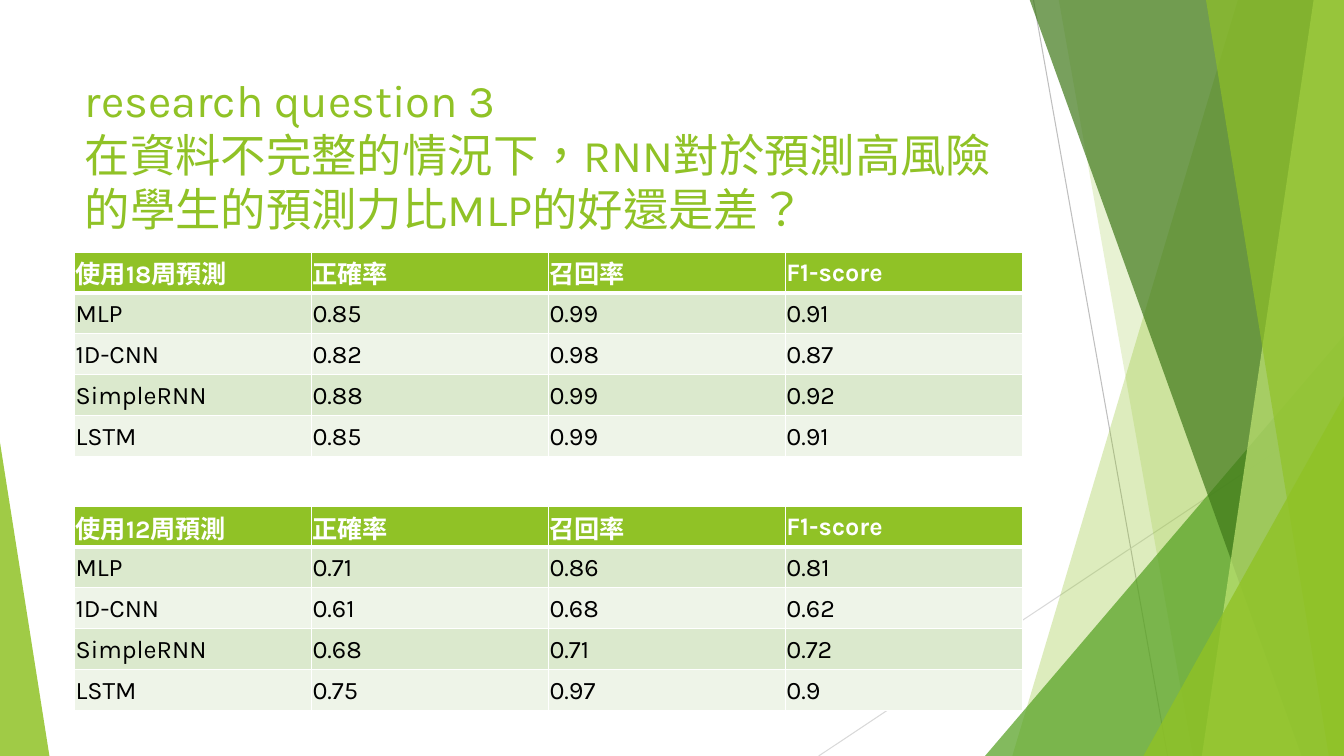
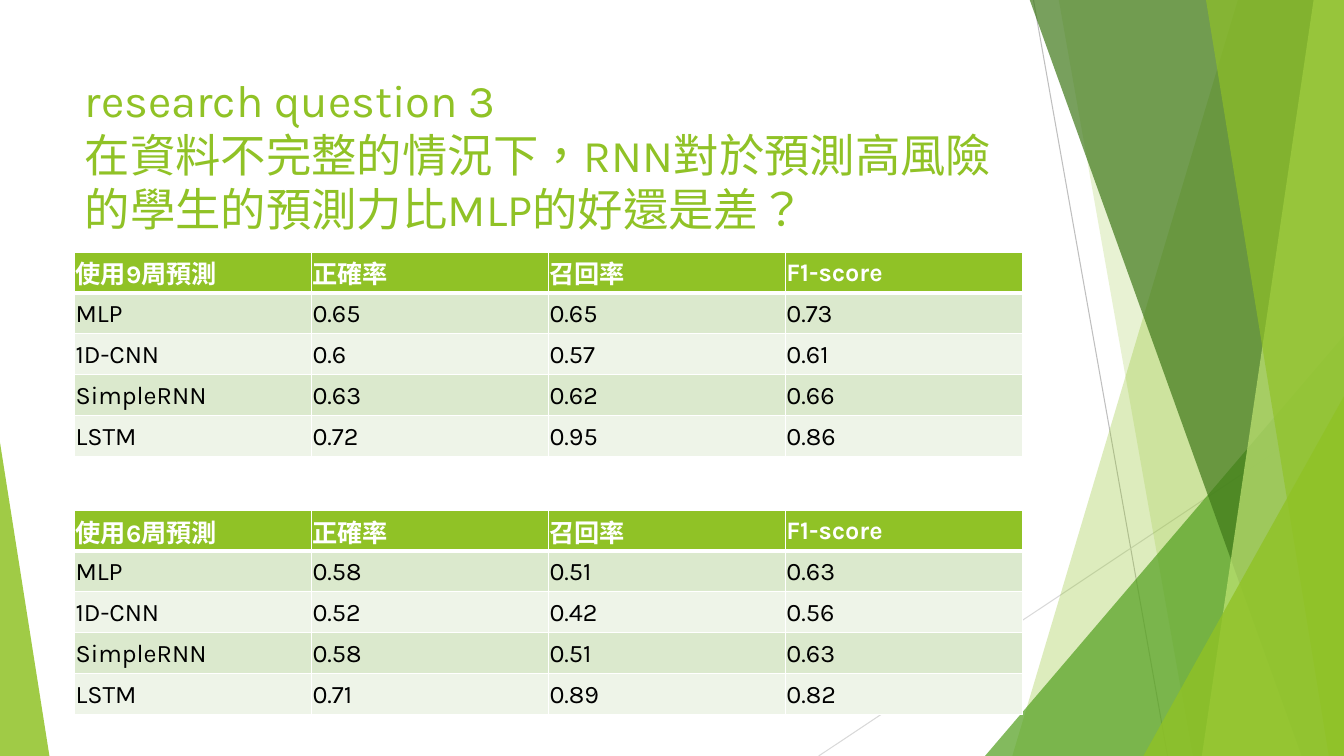
from lxml import etree
from pptx import Presentation
from pptx import util as u
from pptx.dml.color import RGBColor
from pptx.enum import lang, shapes, text
from pptx.oxml.ns import qn

PX = 9144
WIDE, HIGH = 1333, 750
LEFT, SPAN = 74, 940
FONT = "Karla"

LIME = RGBColor(0x90, 0xC2, 0x26)
GREEN = RGBColor(0x54, 0xA0, 0x21)
DARK = RGBColor(0x3F, 0x78, 0x19)
PALE = RGBColor(0xC0, 0xE4, 0x74)
GREY = RGBColor(0xBF, 0xBF, 0xBF)
MIST = RGBColor(0xD9, 0xD9, 0xD9)
ODD = RGBColor(0xDB, 0xE9, 0xCD)
EVEN = RGBColor(0xEE, 0xF4, 0xE8)
WHITE = RGBColor(0xFF, 0xFF, 0xFF)
BLACK = RGBColor(0, 0, 0)

TITLE = ("research question 3\v"
         "在資料不完整的情況下，RNN對於預測高風險的學生的預測力比MLP的好還是差？")
MODELS = ("MLP", "1D-CNN", "SimpleRNN", "LSTM")
SCORES = ("正確率", "召回率", "F1-score")

# Each slide: (weeks, top of table, one row of scores for each model)
SLIDES = (
    ((18, 250, ("0.85 0.99 0.91", "0.82 0.98 0.87", "0.88 0.99 0.92", "0.85 0.99 0.91")),
     (12, 502, ("0.71 0.86 0.81", "0.61 0.68 0.62", "0.68 0.71 0.72", "0.75 0.97 0.9"))),
    ((9, 250, ("0.65 0.65 0.73", "0.6 0.57 0.61", "0.63 0.62 0.66", "0.72 0.95 0.86")),
     (6, 506, ("0.58 0.51 0.63", "0.52 0.42 0.56", "0.58 0.51 0.63", "0.71 0.89 0.82"))),
)


def px(*nums):
    return [u.Emu(n * PX) for n in nums]


class Deck:
    def __init__(self):
        self.prs = Presentation()
        self.prs.slide_width, self.prs.slide_height = px(WIDE, HIGH)
        self.base = self.prs.slide_layouts[5]
        self.slide = None
        for hold in list(self.base.placeholders):
            if hold.placeholder_format.idx == 0:
                hold.left, hold.top, hold.width, hold.height = px(LEFT, 67, SPAN, 144)
            else:
                hold.element.getparent().remove(hold.element)

    def page(self):
        self.slide = self.prs.slides.add_slide(self.base)

    def style(self, para, size, color, bold=False):
        para.alignment = text.PP_ALIGN.LEFT
        font = para.font
        font.name, font.size, font.bold = FONT, u.Pt(size), bold
        font.color.rgb = color
        font.language_id = lang.MSO_LANGUAGE_ID.TRADITIONAL_CHINESE

    def title(self, words):
        frame = self.slide.shapes.title.text_frame
        frame.auto_size = text.MSO_AUTO_SIZE.NONE
        frame.vertical_anchor = text.MSO_ANCHOR.TOP
        frame.text = words
        self.style(frame.paragraphs[0], 32.4, LIME)

    def paint(self, shape, color, alpha):
        """Fill with a colour at alpha percent, without line or shadow."""
        shape.shadow.inherit = False
        shape.fill.solid()
        shape.fill.fore_color.rgb = color
        tint = shape.element.spPr.find(qn("a:solidFill"))[0]
        etree.SubElement(tint, qn("a:alpha"), val=str(alpha * 1000))
        shape.line.fill.background()

    def line(self, ends, color):
        line = self.slide.shapes.add_connector(shapes.MSO_CONNECTOR.STRAIGHT, *px(*ends))
        line.line.color.rgb = color
        line.line.width = u.Pt(0.75)
        etree.SubElement(line.element.spPr, qn("a:effectLst"))

    def band(self, top, foot, color, alpha):
        """Fill from a slanted left edge (x at top and at foot) to the right side."""
        pen = self.slide.shapes.build_freeform(top, -1, PX)
        pen.add_line_segments([(WIDE, -1), (WIDE, HIGH), (foot, HIGH)])
        self.paint(pen.convert_to_shape(), color, alpha)

    def wedge(self, left, top, width, apex, color, alpha):
        """Draw a triangle that stands on the foot of the slide."""
        shape = self.slide.shapes.add_shape(
            shapes.MSO_SHAPE.ISOSCELES_TRIANGLE, *px(left, top, width, HIGH - top))
        shape.adjustments[0] = apex
        self.paint(shape, color, alpha)

    def share(self):
        """Move the art on this slide to the layout, behind its title."""
        tree = self.base.shapes.element
        art = [s for s in self.slide.shapes if not s.is_placeholder]
        for spot, shape in enumerate(art, 2):
            tree.insert(spot, shape.element)

    def edges(self, cell, foot):
        """Rule a cell in white, with its own width at the foot."""
        props = cell._tc.get_or_add_tcPr()
        for side, size in (("L", 1), ("R", 1), ("T", 1), ("B", foot)):
            rule = etree.SubElement(props, qn("a:ln" + side), w=str(u.Pt(size)))
            fill = etree.SubElement(rule, qn("a:solidFill"))
            etree.SubElement(fill, qn("a:srgbClr"), val=str(WHITE))

    def table(self, top, rows):
        grid = self.slide.shapes.add_table(
            len(rows), len(rows[0]), *px(LEFT, top, SPAN, 203)).table
        for r, row in enumerate(rows):
            head = r == 0
            fill = LIME if head else ODD if r % 2 else EVEN
            for c, words in enumerate(row):
                cell = grid.cell(r, c)
                self.edges(cell, 3 if head else 1)
                cell.fill.solid()
                cell.fill.fore_color.rgb = fill
                cell.vertical_anchor = text.MSO_ANCHOR.MIDDLE
                cell.margin_left, cell.margin_top, cell.margin_right, cell.margin_bottom = px(1, 1, 1, 0)
                cell.text = words
                self.style(cell.text_frame.paragraphs[0], 18, WHITE if head else BLACK, head)


def backdrop(deck):
    deck.line((1025, 0, 1158, HIGH), GREY)
    deck.line((WIDE, 403, 812, HIGH), MIST)
    deck.band(1228, 1004, LIME, 30)
    deck.band(1050, 1183, LIME, 20)
    deck.wedge(977, 333, 356, 1, GREEN, 72)
    deck.band(1021, 1291, DARK, 70)
    deck.band(1303, 1192, PALE, 70)
    deck.band(1196, 1318, LIME, 65)
    deck.wedge(1134, 393, 199, 1, LIME, 80)
    deck.wedge(0, 439, 49, 0, LIME, 85)
    deck.share()


def main():
    deck = Deck()
    for num, tables in enumerate(SLIDES):
        deck.page()
        if num == 0:
            backdrop(deck)
        deck.title(TITLE)
        for weeks, top, scores in tables:
            rows = [(f"使用{weeks}周預測", *SCORES)]
            rows += [(name, *vals.split()) for name, vals in zip(MODELS, scores)]
            deck.table(top, rows)
    deck.prs.save("out.pptx")


if __name__ == "__main__":
    main()
